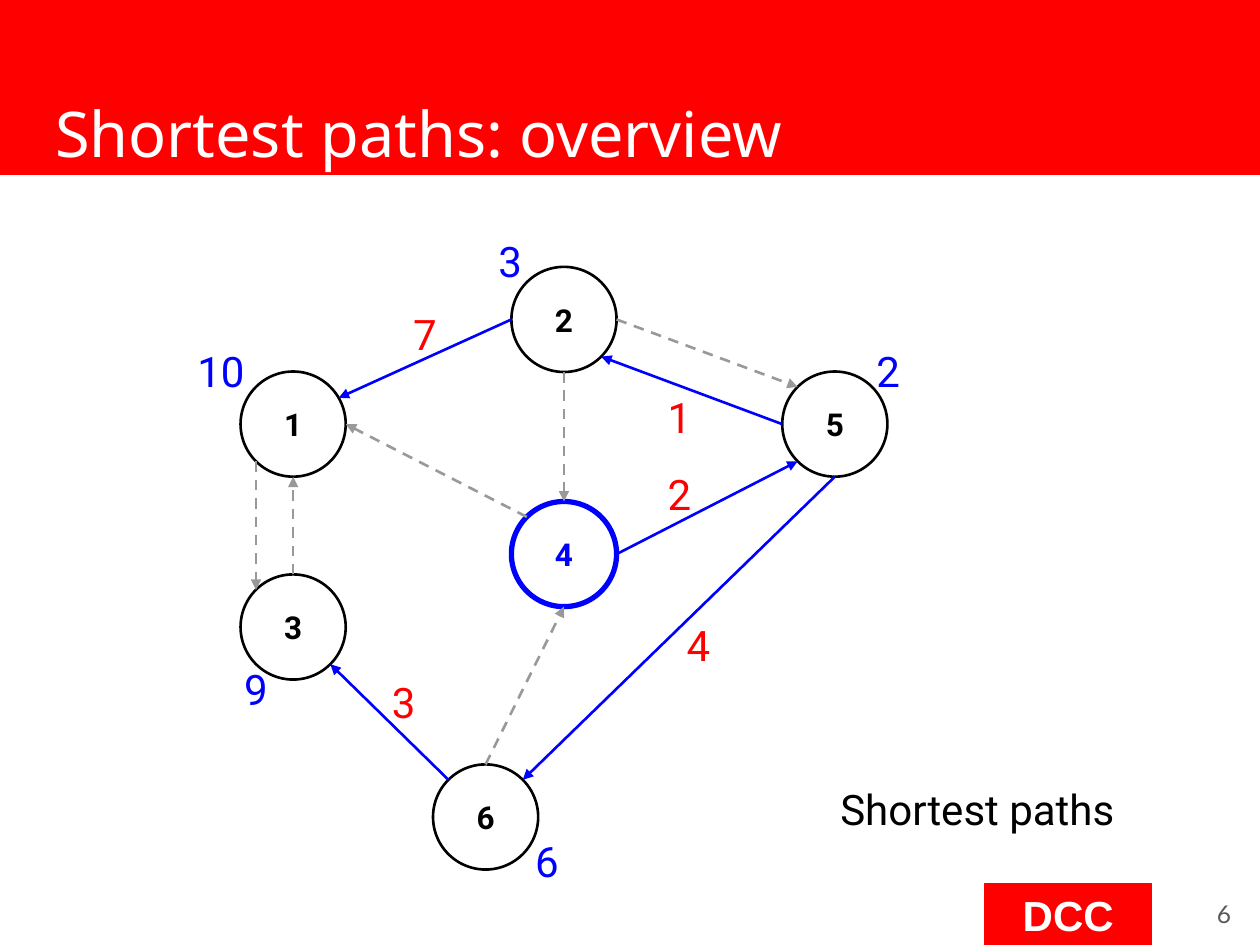
"""Build a slide that shows the shortest paths from one node of a graph."""
import math

import lxml.etree
import pptx
import pptx.dml.color
import pptx.enum.dml
import pptx.enum.shapes
import pptx.enum.text
import pptx.oxml.ns
import pptx.util

Cm = pptx.util.Cm
Pt = pptx.util.Pt
KIND = pptx.enum.shapes.MSO_SHAPE
ALIGN = pptx.enum.text.PP_ALIGN
ANCHOR = pptx.enum.text.MSO_ANCHOR

RED, BLUE, GRAY = "FF0000", "0000FF", "999999"
BLACK, WHITE = "000000", "FFFFFF"
RADIUS = 1.06
SITES = {"E": 0, "SE": 45, "S": 90, "SW": 135, "W": 180,
         "NW": 225, "N": 270, "NE": 315, "ENE": 330}
NODES = {
    "1": (5.91, 8.55), "2": (11.37, 6.44), "5": (16.83, 8.55),
    "3": (5.91, 12.64), "4": (11.37, 11.17), "6": (9.79, 16.47),
}
START = "4"
PATHS = [
    ("2", "W", "1", "ENE"), ("5", "W", "2", "SE"), ("4", "E", "5", "SW"),
    ("5", "S", "6", "NE"), ("6", "NW", "3", "SE"),
]
OTHERS = [
    ("2", "S", "4", "N"), ("2", "E", "5", "NW"), ("6", "N", "4", "S"),
    ("3", "N", "1", "S"), ("1", "SW", "3", "NW"), ("4", "NW", "1", "E"),
]
COSTS = [("3", 7.65, 13.39), ("7", 8.08, 5.97), ("1", 13.21, 7.65),
         ("4", 13.59, 12.24), ("2", 13.21, 9.19)]
TOTALS = [("6", 10.54, 16.59), ("9", 4.67, 13.13), ("10", 3.73, 6.71),
          ("3", 9.8, 4.5), ("2", 17.42, 6.71)]


def color(code):
    """Return the colour for a hex string."""
    return pptx.dml.color.RGBColor.from_string(code)


def write(shape, text, size=24, font="Roboto", ink=BLACK, bold=False,
          align=ALIGN.LEFT, anchor=ANCHOR.TOP):
    """Put formatted text into a shape."""
    frame = shape.text_frame
    frame.word_wrap = True
    frame.auto_size = pptx.enum.text.MSO_AUTO_SIZE.NONE
    frame.vertical_anchor = anchor
    frame.margin_left = frame.margin_right = Cm(0.25)
    frame.margin_top = frame.margin_bottom = Cm(0.25)
    par = frame.paragraphs[0]
    par.alignment = align
    run = par.add_run()
    run.text = text
    run.font.size = Pt(size)
    run.font.name = font
    run.font.bold = bold
    run.font.color.rgb = color(ink)


def label(slide, text, left, top, width=1.05, height=1.45, **style):
    """Add a text box."""
    box = slide.shapes.add_textbox(Cm(left), Cm(top), Cm(width), Cm(height))
    write(box, text, **style)


def block(slide, kind, left, top, width, height, fill=None, line=BLACK, weight=0.75):
    """Add a preset shape without shadow."""
    shape = slide.shapes.add_shape(kind, Cm(left), Cm(top), Cm(width), Cm(height))
    shape.shadow.inherit = False
    if fill:
        shape.fill.solid()
        shape.fill.fore_color.rgb = color(fill)
    else:
        shape.fill.background()
    shape.line.color.rgb = color(line)
    shape.line.width = Pt(weight)
    return shape


def node(slide, name):
    """Add a graph node, marked when it is the start."""
    x, y = NODES[name]
    ink, weight = (BLUE, 3) if name == START else (BLACK, 1.5)
    ring = block(slide, KIND.OVAL, x - RADIUS, y - RADIUS, 2 * RADIUS, 2 * RADIUS,
                 line=ink, weight=weight)
    write(ring, name, size=18, ink=ink, bold=True,
          align=ALIGN.CENTER, anchor=ANCHOR.MIDDLE)


def rim(name, site):
    """Return the point on a node's rim at a compass site."""
    x, y = NODES[name]
    turn = math.radians(SITES[site])
    return Cm(x + RADIUS * math.cos(turn)), Cm(y + RADIUS * math.sin(turn))


def edge(slide, tail, leave, head, enter, ink, dash=False):
    """Add an arrow from one node to another."""
    link = slide.shapes.add_connector(
        pptx.enum.shapes.MSO_CONNECTOR.STRAIGHT, *rim(tail, leave), *rim(head, enter))
    link.line.color.rgb = color(ink)
    link.line.width = Pt(1.5)
    if dash:
        link.line.dash_style = pptx.enum.dml.MSO_LINE.DASH
    qn = pptx.oxml.ns.qn
    props = link.element.spPr
    lxml.etree.SubElement(props.find(qn("a:ln")), qn("a:tailEnd"), type="triangle")
    lxml.etree.SubElement(props, qn("a:effectLst"))


def header(slide):
    """Add the red band with the title on top of it."""
    block(slide, KIND.RECTANGLE, 0, 0, 25.4, 3.51, fill=RED, line=RED)
    title = slide.shapes.title
    title.left, title.top = Cm(0.86), Cm(1.65)
    title.width, title.height = Cm(23.67), Cm(2.11)
    write(title, "Shortest paths: overview", size=36, font="Noto Sans", ink=WHITE)
    title.element.getparent().append(title.element)


def footer(slide):
    """Add the badge and the page number."""
    badge = block(slide, KIND.RECTANGLE, 19.86, 17.81, 3.35, 1.24, fill=RED, line=RED)
    write(badge, "DCC", font="Arial", ink=WHITE, bold=True,
          align=ALIGN.CENTER, anchor=ANCHOR.MIDDLE)
    label(slide, "6", 23.55, 17.7, 1.52, size=14, font="Lato", ink="595959",
          align=ALIGN.RIGHT, anchor=ANCHOR.MIDDLE)


def main():
    """Build and save the slide."""
    deck = pptx.Presentation()
    deck.slide_width, deck.slide_height = Cm(25.4), Cm(19.05)
    slide = deck.slides.add_slide(deck.slide_layouts[5])
    header(slide)
    footer(slide)
    for name in NODES:
        node(slide, name)
    for path in PATHS:
        edge(slide, *path, ink=BLUE)
    for other in OTHERS:
        edge(slide, *other, ink=GRAY, dash=True)
    label(slide, "Shortest paths", 16.69, 15.54, 7.85)
    for marks, ink in ((COSTS, RED), (TOTALS, BLUE)):
        for text, left, top in marks:
            label(slide, text, left, top, 0.52 + 0.53 * len(text), ink=ink)
    deck.save("out.pptx")


if __name__ == "__main__":
    main()
